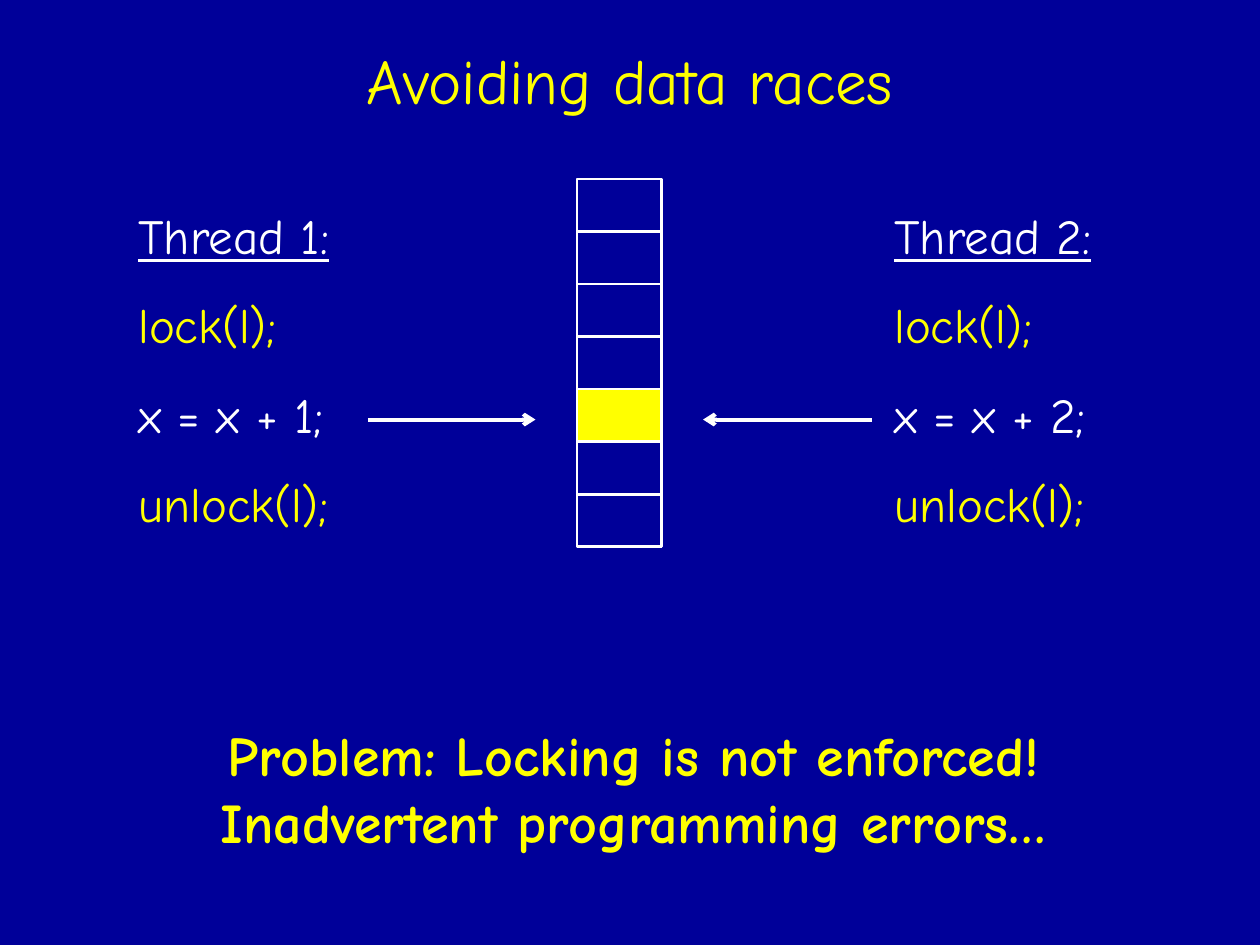
from lxml import etree
from pptx import Presentation
from pptx.dml.color import RGBColor
from pptx.enum import shapes, text
from pptx.oxml import ns
from pptx.util import Inches, Pt

NAVY = RGBColor(0x00, 0x00, 0x99)
YELLOW = RGBColor(0xFF, 0xFF, 0x00)
WHITE = RGBColor(0xFF, 0xFF, 0xFF)
FONT = "Comic Neue"

MEMORY_LEFT, MEMORY_TOP = 4.58, 1.42
CELL_WIDTH, CELL_HEIGHT = 0.67, 2.92 / 7
CELL_COUNT = 7
SHARED_CELL = 4
ARROW_Y = 3.33


def style_paragraph(para, size, color, bold=False, underline=False):
    font = para.font
    font.name = FONT
    font.size = Pt(size)
    font.color.rgb = color
    font.bold = bold
    font.underline = underline


def set_title(page, wording):
    title = page.shapes.title
    title.left, title.top = Inches(0.75), Inches(0.17)
    title.width, title.height = Inches(8.5), Inches(0.92)
    frame = title.text_frame
    frame.text = wording
    frame.vertical_anchor = text.MSO_ANCHOR.MIDDLE
    para = frame.paragraphs[0]
    para.alignment = text.PP_ALIGN.CENTER
    style_paragraph(para, 36, YELLOW)


def add_text(page, left, top, width, height, lines, wrap=True):
    box = page.shapes.add_textbox(Inches(left), Inches(top), Inches(width), Inches(height))
    frame = box.text_frame
    frame.text = "\n".join(lines)
    frame.word_wrap = wrap
    frame.auto_size = text.MSO_AUTO_SIZE.SHAPE_TO_FIT_TEXT
    return frame.paragraphs


def add_thread(page, left, width, number):
    lines = [f"Thread {number}:", "lock(l);", f"x = x + {number};", "unlock(l);"]
    paras = add_text(page, left, 1.58, width, 2.7, lines)
    for index, para in enumerate(paras):
        para.space_before = Pt(17.5)
        style_paragraph(para, 28, YELLOW if index % 2 else WHITE, underline=index == 0)


def add_line(page, start, end, width, arrow=False):
    line = page.shapes.add_connector(
        shapes.MSO_CONNECTOR.STRAIGHT, *(Inches(value) for value in (*start, *end))
    )
    line.line.color.rgb = WHITE
    line.line.width = Pt(width)
    if arrow:
        outline = line.line._get_or_add_ln()
        etree.SubElement(outline, ns.qn("a:tailEnd"), type="arrow")
    etree.SubElement(line._element.spPr, ns.qn("a:effectLst"))


def add_memory_block(page, first, count, fill=None):
    block = page.shapes.add_shape(
        shapes.MSO_SHAPE.RECTANGLE,
        Inches(MEMORY_LEFT),
        Inches(MEMORY_TOP + first * CELL_HEIGHT),
        Inches(CELL_WIDTH),
        Inches(count * CELL_HEIGHT),
    )
    block.shadow.inherit = False
    block.line.color.rgb = WHITE
    block.line.width = Pt(1.5)
    if fill is None:
        block.fill.background()
    else:
        block.fill.solid()
        block.fill.fore_color.rgb = fill


def add_memory(page):
    add_memory_block(page, 0, CELL_COUNT)
    for row in range(1, CELL_COUNT + 1):
        if row not in (SHARED_CELL, SHARED_CELL + 1):
            y = MEMORY_TOP + row * CELL_HEIGHT
            add_line(page, (MEMORY_LEFT, y), (MEMORY_LEFT + CELL_WIDTH, y), 1.5)
    add_memory_block(page, SHARED_CELL, 1, YELLOW)


def add_conclusion(page):
    lines = ["Problem: Locking is not enforced!", "Inadvertent programming errors…"]
    for para in add_text(page, 1.63, 5.67, 6.8, 1.17, lines, wrap=False):
        para.alignment = text.PP_ALIGN.CENTER
        style_paragraph(para, 32, YELLOW, bold=True)


def main():
    deck = Presentation()
    deck.slide_width, deck.slide_height = Inches(10), Inches(7.5)
    page = deck.slides.add_slide(deck.slide_layouts.get_by_name("Title Only"))
    page.background.fill.solid()
    page.background.fill.fore_color.rgb = NAVY

    set_title(page, "Avoiding data races")
    add_thread(page, 1, 2, 1)
    add_thread(page, 7, 2.17, 2)
    add_memory(page)
    for start, end in ((2.92, 4.25), (6.92, 5.58)):
        add_line(page, (start, ARROW_Y), (end, ARROW_Y), 2.25, arrow=True)
    add_conclusion(page)
    deck.save("out.pptx")


if __name__ == "__main__":
    main()
